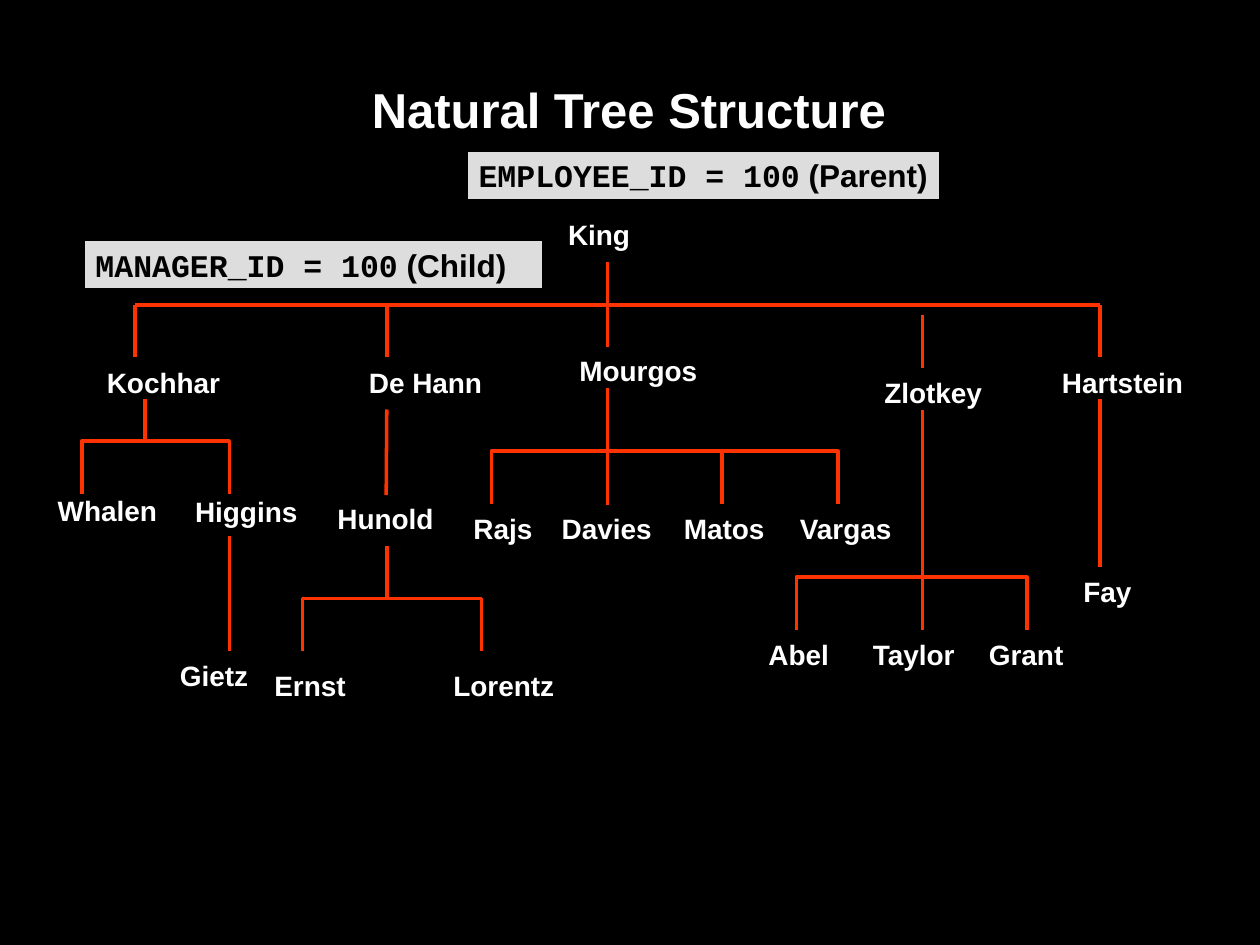
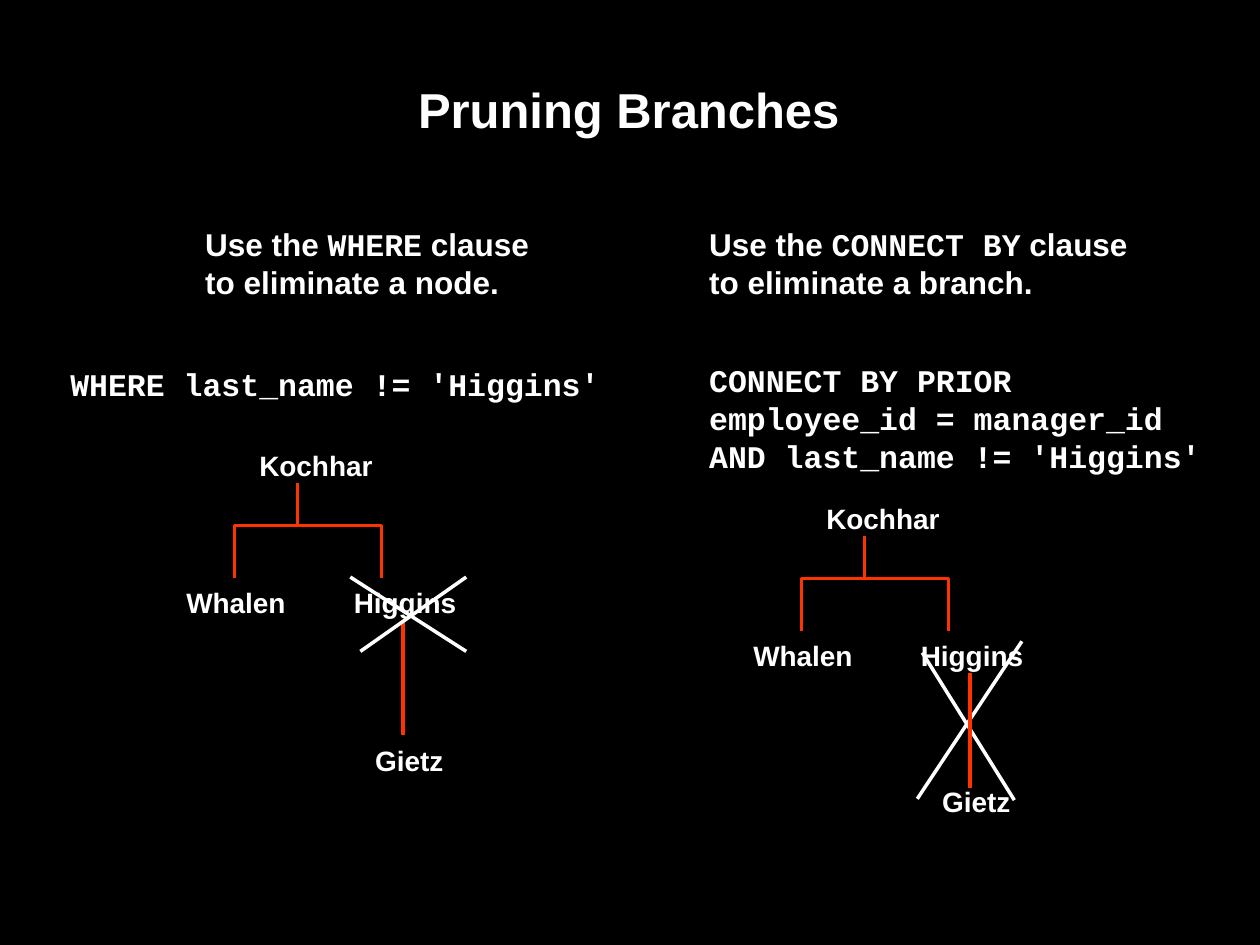
from dataclasses import dataclass

import pptx
import pptx.dml.color
import pptx.enum.shapes
import pptx.enum.text
import pptx.util
from lxml import etree

Inches = pptx.util.Inches
Align = pptx.enum.text.PP_ALIGN
A_NS = "http://schemas.openxmlformats.org/drawingml/2006/main"


@dataclass(frozen=True)
class Theme:
    back: str = "000000"
    text: str = "FFFFFF"
    branch: str = "FF3300"
    panel: str = "DDDDDD"
    dark: str = "000000"
    sans: str = "Arial"
    mono: str = "Courier New"
    title: int = 28
    body: int = 18
    name: int = 16
    stroke: int = 2


WIDTHS = {
    "King": 0.69, "Kochhar": 1.1, "De Hann": 1.1, "Mourgos": 1.14,
    "Zlotkey": 0.98, "Hartstein": 1.16, "Whalen": 0.99, "Higgins": 1.01,
    "Hunold": 0.97, "Rajs": 0.67, "Davies": 0.92, "Matos": 0.84,
    "Vargas": 0.94, "Fay": 0.65, "Gietz": 0.74, "Ernst": 0.77,
    "Lorentz": 1.0, "Abel": 0.68, "Taylor": 0.87, "Grant": 0.79,
}
NAME_H = 0.37
DROP = 0.42


def rgb(code):
    return pptx.dml.color.RGBColor.from_string(code)


class Deck:
    def __init__(self, theme):
        self.theme = theme
        self.prs = pptx.Presentation()
        self.prs.slide_width, self.prs.slide_height = Inches(10), Inches(7.5)
        fill = self.prs.slide_master.background.fill
        fill.solid()
        fill.fore_color.rgb = rgb(theme.back)
        self.slide = None

    def start(self, title):
        self.slide = self.prs.slides.add_slide(self.prs.slide_layouts[5])
        box = self.slide.shapes.title
        box.left, box.top = Inches(0.94), Inches(0.58)
        box.width, box.height = Inches(8.1), Inches(0.96)
        self.label(box, [title], self.theme.title, self.theme.text, Align.CENTER)
        box.text_frame.auto_size = pptx.enum.text.MSO_AUTO_SIZE.NONE
        box.text_frame.word_wrap = True

    def label(self, box, rows, size, color, align=Align.LEFT):
        """Fill a box with one paragraph per row; backticks mark code."""
        frame = box.text_frame
        frame.word_wrap = False
        frame.vertical_anchor = pptx.enum.text.MSO_ANCHOR.TOP
        for i, row in enumerate(rows):
            para = frame.add_paragraph() if i else frame.paragraphs[0]
            para.alignment = align
            font = para.font
            font.size, font.bold = pptx.util.Pt(size), True
            font.color.rgb = rgb(color)
            parts = [(part, self.theme.mono if k % 2 else self.theme.sans)
                     for k, part in enumerate(row.split("`")) if part]
            for part, face in parts:
                run = para.add_run()
                run.text = part
                if len(parts) > 1:
                    run.font.name = face
                else:
                    font.name = face

    def note(self, x, y, w, h, rows, size=None):
        box = self.slide.shapes.add_textbox(
            Inches(x), Inches(y), Inches(w), Inches(h))
        self.label(box, rows, size or self.theme.body, self.theme.text)
        return box

    def name(self, who, x, y):
        return self.note(x, y, WIDTHS[who], NAME_H, [who], self.theme.name)

    def panel(self, x, y, w, row):
        box = self.slide.shapes.add_shape(
            pptx.enum.shapes.MSO_SHAPE.RECTANGLE,
            Inches(x), Inches(y), Inches(w), Inches(0.4))
        box.shadow.inherit = False
        box.fill.solid()
        box.fill.fore_color.rgb = rgb(self.theme.panel)
        self.stroke(box, self.theme.dark)
        self.label(box, [row], self.theme.body, self.theme.dark)

    def stroke(self, item, color):
        item.line.color.rgb = rgb(color)
        item.line.width = pptx.util.Pt(self.theme.stroke)

    def line(self, x1, y1, x2, y2, color=None, child=None):
        """Draw a line, joined to the top of the child's box if given."""
        link = self.slide.shapes.add_connector(
            pptx.enum.shapes.MSO_CONNECTOR.STRAIGHT,
            Inches(x1), Inches(y1), Inches(x2), Inches(y2))
        self.stroke(link, color or self.theme.branch)
        etree.SubElement(link.element.spPr, f"{{{A_NS}}}effectLst")
        if child is not None:
            link.end_connect(child, 0)

    def stem(self, x, top, end, child=None):
        self.line(x, top, x, end, child=child)

    def fork(self, left, right, top):
        """Draw a bracket that opens downwards."""
        low = top + DROP
        pen = self.slide.shapes.build_freeform(Inches(left), Inches(low))
        pen.add_line_segments(
            [(Inches(x), Inches(y))
             for x, y in ((left, top), (right, top), (right, low))],
            close=False)
        shape = pen.convert_to_shape()
        shape.shadow.inherit = False
        shape.fill.background()
        self.stroke(shape, self.theme.branch)

    def cross(self, *lines):
        for ends in lines:
            self.line(*ends, color=self.theme.text)

    def family(self, x, y, leaf):
        """Draw Kochhar's branch, with Gietz at height leaf."""
        self.name("Kochhar", x, y)
        self.stem(x + 0.4, y + 0.32, y + 0.66)
        self.fork(x - 0.1, x + 1.07, y + 0.66)
        self.name("Whalen", x - 0.58, y + 1.09)
        self.name("Higgins", x + 0.75, y + 1.09)
        self.stem(x + 1.24, y + 1.41, y + 2.32)
        self.name("Gietz", x + 0.92, leaf)


def tree(deck):
    deck.start("Natural Tree Structure")
    deck.panel(3.7, 1.19, 3.77, "`EMPLOYEE_ID = 100` (Parent)")
    deck.panel(0.66, 1.9, 3.66, "`MANAGER_ID = 100` (Child)")

    people = (
        ("King", 4.41, 1.68),
        ("Kochhar", 0.75, 2.85), ("De Hann", 2.83, 2.85),
        ("Mourgos", 4.5, 2.76), ("Zlotkey", 6.92, 2.93),
        ("Hartstein", 8.33, 2.85),
        ("Whalen", 0.36, 3.87), ("Higgins", 1.45, 3.88),
        ("Hunold", 2.58, 3.93), ("Rajs", 3.66, 4.01),
        ("Davies", 4.36, 4.01), ("Matos", 5.33, 4.01),
        ("Vargas", 6.25, 4.01), ("Fay", 8.5, 4.51),
        ("Abel", 6, 5.01), ("Taylor", 6.83, 5.01), ("Grant", 7.75, 5.01),
        ("Gietz", 1.33, 5.18), ("Ernst", 2.08, 5.26), ("Lorentz", 3.5, 5.26),
    )
    boxes = {who: deck.name(who, x, y) for who, x, y in people}

    deck.line(1.07, 2.42, 8.73, 2.42)
    stems = (
        (4.82, 2.08, 2.75), (1.07, 2.42, 2.83), (3.07, 2.42, 2.83),
        (7.32, 2.5, 2.92), (8.73, 2.42, 2.83),
        (1.15, 3.17, 3.5), (1.82, 4.25, 5.17), (3.07, 4.33, 4.75),
        (7.32, 3.25, 5), (8.73, 3.17, 4.5),
    )
    for x, top, end in stems:
        deck.stem(x, top, end)
    deck.stem(3.07, 3.25, 3.92, boxes["Hunold"])
    deck.stem(4.82, 3.08, 4, boxes["Davies"])

    forks = ((0.65, 1.82, 3.5), (3.9, 5.73, 3.58), (5.73, 6.65, 3.58),
             (2.4, 3.82, 4.75), (6.32, 8.15, 4.58))
    for left, right, top in forks:
        deck.fork(left, right, top)


def prune(deck):
    deck.start("Pruning Branches")
    deck.note(1.53, 1.74, 2.84, 0.7,
              ["Use the `WHERE` clause", "to eliminate a node."])
    deck.note(5.53, 1.74, 3.52, 0.7,
              ["Use the `CONNECT BY` clause", "to eliminate a branch."])
    deck.note(0.46, 2.85, 4.4, 0.4, ["`WHERE last_name != 'Higgins'`"])
    deck.note(5.53, 2.82, 4.1, 1,
              ["`CONNECT BY PRIOR`", "`employee_id = manager_id`",
               "`AND last_name != 'Higgins'`"])
    deck.family(1.96, 3.51, 5.85)
    deck.cross((2.78, 4.58, 3.7, 5.17), (2.86, 5.17, 3.7, 4.58))
    deck.cross((7.28, 6.34, 8.11, 5.09), (7.32, 5.18, 8.05, 6.35))
    deck.family(6.46, 3.93, 6.18)


def main():
    deck = Deck(Theme())
    tree(deck)
    prune(deck)
    deck.prs.save("out.pptx")


if __name__ == "__main__":
    main()
